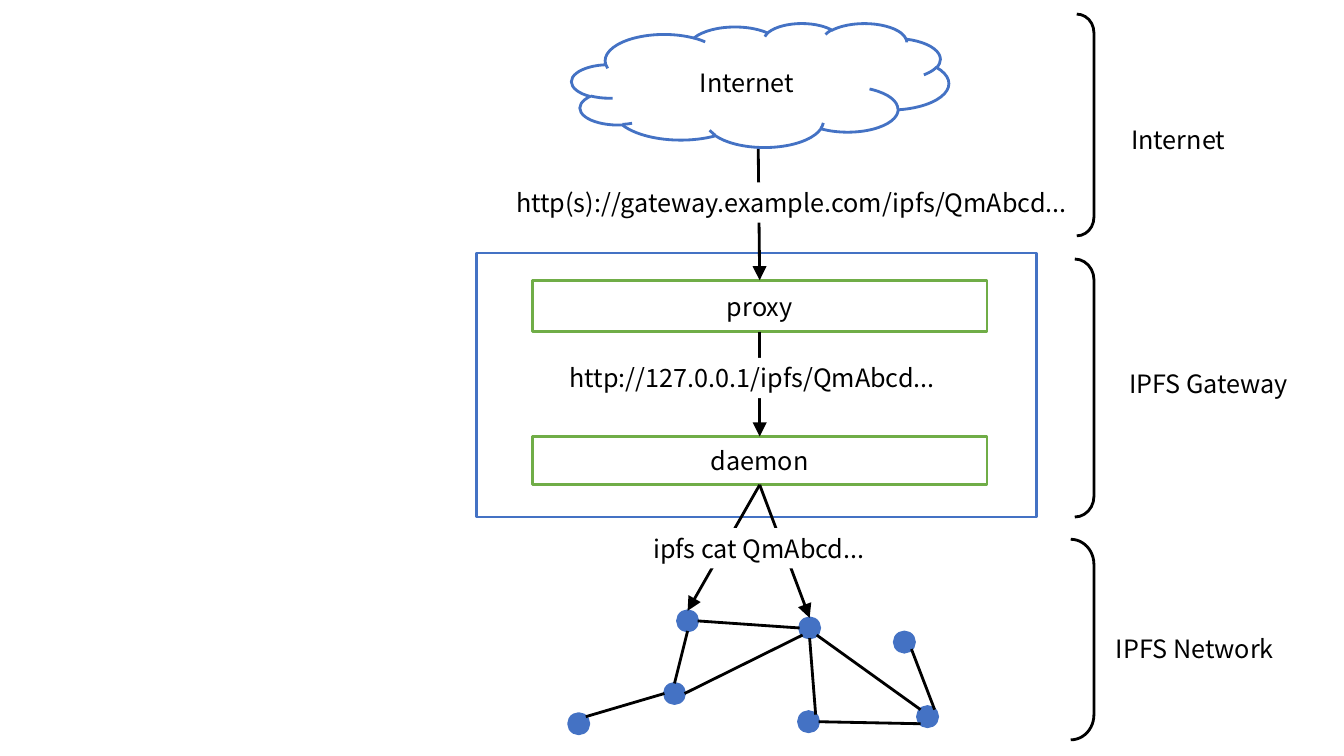
import pptx
import pptx.util
import pptx.dml.color
import pptx.enum.shapes
import pptx.enum.text
import lxml.etree

Inches = pptx.util.Inches
SHAPES = pptx.enum.shapes.MSO_SHAPE
ALIGN = pptx.enum.text.PP_ALIGN
ANCHOR = pptx.enum.text.MSO_ANCHOR
FONT = "Noto Sans CJK JP"
COLORS = {"blue": "4472C4", "green": "70AD47", "ink": "000000", "paper": "FFFFFF"}
DRAWING = "{http://schemas.openxmlformats.org/drawingml/2006/main}"
NODE = 0.2
DIAGONAL = 0.07
SITES = {
    "top": (0, -NODE / 2), "bottom": (0, NODE / 2),
    "left": (-NODE / 2, 0), "right": (NODE / 2, 0),
    "top left": (-DIAGONAL, -DIAGONAL), "top right": (DIAGONAL, -DIAGONAL),
    "bottom left": (-DIAGONAL, DIAGONAL), "bottom right": (DIAGONAL, DIAGONAL),
}


def rgb(name):
    return pptx.dml.color.RGBColor.from_string(COLORS[name])


def write_text(shape, text, align=ALIGN.LEFT, anchor=ANCHOR.TOP, wrap=True, size=18, color="ink"):
    frame = shape.text_frame
    frame.word_wrap = wrap
    frame.vertical_anchor = anchor
    paragraph = frame.paragraphs[0]
    paragraph.alignment = align
    run = paragraph.add_run()
    run.text = text
    run.font.name = FONT
    run.font.size = pptx.util.Pt(size)
    run.font.color.rgb = rgb(color)


def add_outline(slide, kind, box, line, fill="paper", text=None):
    shape = slide.shapes.add_shape(kind, *map(Inches, box))
    shape.shadow.inherit = False
    if fill:
        shape.fill.solid()
        shape.fill.fore_color.rgb = rgb(fill)
    else:
        shape.fill.background()
    shape.line.color.rgb = rgb(line)
    shape.line.width = pptx.util.Pt(2)
    if text:
        write_text(shape, text, align=ALIGN.CENTER, anchor=ANCHOR.MIDDLE)
    return shape


def add_label(slide, text, left, top, width, wrap=False):
    label = slide.shapes.add_textbox(*map(Inches, (left, top, width, 0.4)))
    label.fill.solid()
    label.fill.fore_color.rgb = rgb("paper")
    write_text(label, text, wrap=wrap)
    label.text_frame.auto_size = pptx.enum.text.MSO_AUTO_SIZE.SHAPE_TO_FIT_TEXT


def add_link(slide, start=(0, 0), end=(0, 0), source=None, target=None, arrow=False):
    link = slide.shapes.add_connector(
        pptx.enum.shapes.MSO_CONNECTOR.STRAIGHT, *map(Inches, (*start, *end)))
    if source is not None:
        link.begin_connect(source, 2)
    if target is not None:
        link.end_connect(target, 0)
    link.line.color.rgb = rgb("ink")
    link.line.width = pptx.util.Pt(2)
    properties = link._element.spPr
    if arrow:
        lxml.etree.SubElement(properties.find(DRAWING + "ln"), DRAWING + "tailEnd",
                              type="triangle", w="lg", len="lg")
    lxml.etree.SubElement(properties, DRAWING + "effectLst")


def draw_gateway(slide, box):
    left, top, width, height = box
    add_outline(slide, SHAPES.RECTANGLE, box, "blue")
    server_left, server_width = left + 0.55, 4.51
    proxy = add_outline(slide, SHAPES.RECTANGLE,
                        (server_left, top + 0.27, server_width, 0.51), "green", text="proxy")
    daemon = add_outline(slide, SHAPES.RECTANGLE,
                         (server_left, top + 1.82, server_width, 0.48), "green", text="daemon")
    add_link(slide, source=proxy, target=daemon, arrow=True)
    add_label(slide, "http://127.0.0.1/ipfs/QmAbcd...", left + 0.82, top + 1.04, 3.89)
    return proxy, daemon


def draw_internet(slide, box, proxy):
    left, top, width, height = box
    add_link(slide, start=(left + 2.49, top + 0.3), target=proxy, arrow=True)
    add_outline(slide, SHAPES.CLOUD, (left + 0.65, top, 3.74, 1.23), "blue", text="Internet")
    add_label(slide, "http(s)://gateway.example.com/ipfs/QmAbcd...", left, top + 1.58, width)


def draw_network(slide, box, daemon):
    left, top, width, height = box
    offsets = {
        "west": (0.1, 2.04), "entry": (1.18, 1.02), "relay": (1.05, 1.74),
        "hub": (2.39, 1.09), "south": (2.38, 2.02), "north": (3.33, 1.23),
        "east": (3.56, 1.97),
    }
    centers = {peer: (left + x, top + y) for peer, (x, y) in offsets.items()}
    peers = {
        peer: add_outline(slide, SHAPES.OVAL, (x - NODE / 2, y - NODE / 2, NODE, NODE),
                          "blue", fill="blue")
        for peer, (x, y) in centers.items()
    }

    def site(peer, side):
        return tuple(c + d for c, d in zip(centers[peer], SITES[side]))

    for start, start_side, end, end_side in (
        ("entry", "right", "hub", "left"),
        ("relay", "top", "entry", "bottom"),
        ("relay", "right", "hub", "bottom left"),
        ("south", "top right", "hub", "bottom"),
        ("south", "right", "east", "bottom left"),
        ("hub", "bottom right", "east", "top left"),
        ("north", "bottom right", "east", "top right"),
        ("west", "top right", "relay", "left"),
    ):
        add_link(slide, site(start, start_side), site(end, end_side))
    for peer in ("entry", "hub"):
        add_link(slide, source=daemon, target=peers[peer], arrow=True)
    add_label(slide, "ipfs cat QmAbcd...", left + 0.74, top + 0.1, 2.32)


def draw_zone(slide, box, name, label_left, label_top, label_width, wrap=False):
    left, top, width, height = box
    bracket = add_outline(slide, SHAPES.RIGHT_BRACKET, box, "ink", fill=None)
    bracket.adjustments[0] = 1.083
    add_label(slide, name, left + label_left, top + label_top, label_width, wrap=wrap)


def main():
    deck = pptx.Presentation()
    deck.slide_width = Inches(13.33)
    deck.slide_height = Inches(7.5)
    slide = deck.slides.add_slide(deck.slide_layouts[6])
    proxy, daemon = draw_gateway(slide, (4.73, 2.51, 5.55, 2.62))
    draw_internet(slide, (5.02, 0.23, 5.78, 1.98), proxy)
    draw_network(slide, (5.64, 5.14, 3.66, 2.14), daemon)
    draw_zone(slide, (10.68, 0.14, 0.17, 2.2), "Internet", 0.44, 1.04, 1.91, wrap=True)
    draw_zone(slide, (10.66, 2.57, 0.19, 2.56), "IPFS Gateway", 0.44, 1.04, 1.84)
    draw_zone(slide, (10.62, 5.35, 0.23, 1.99), "IPFS Network", 0.35, 0.88, 1.81)
    deck.save("out.pptx")


if __name__ == "__main__":
    main()
